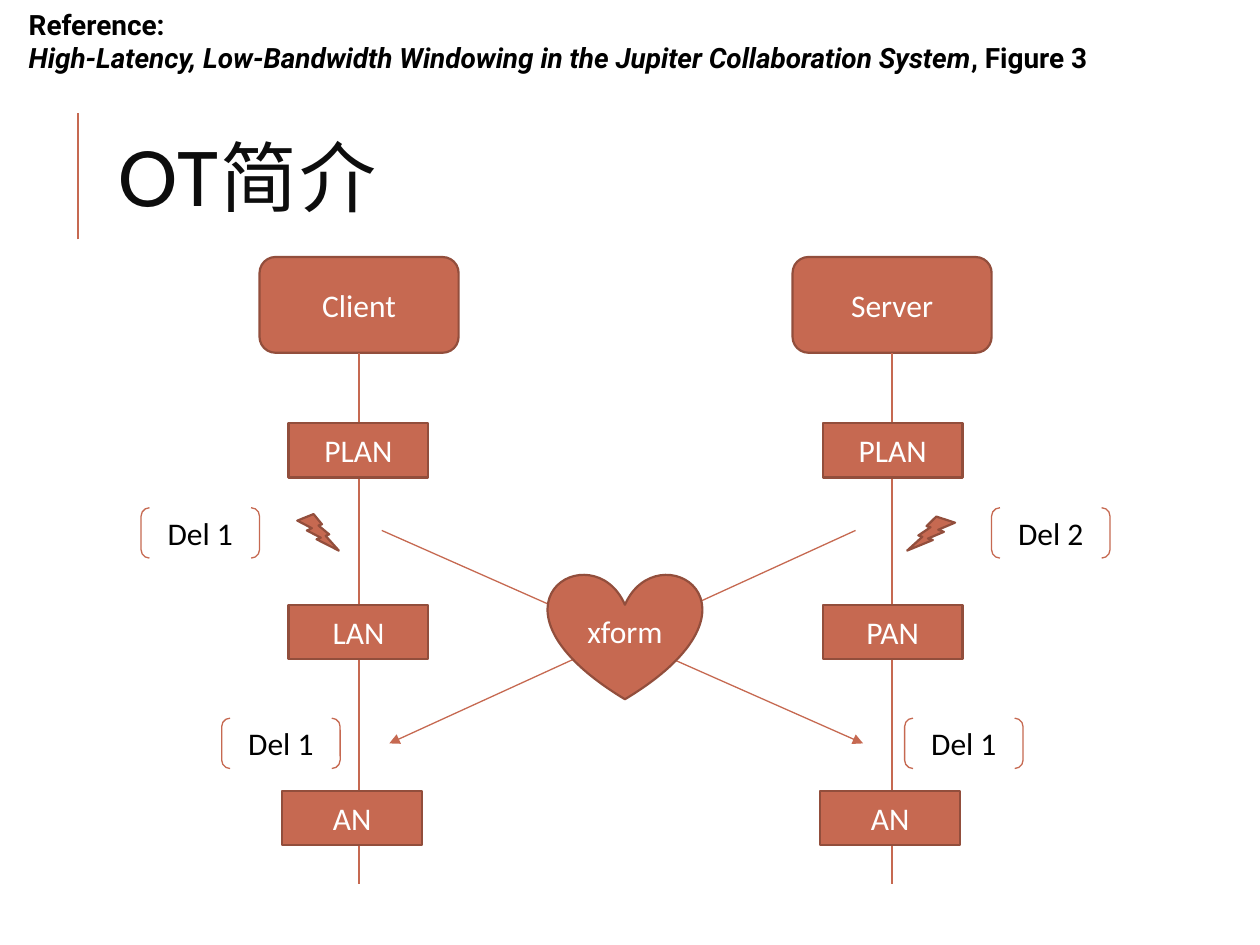
from lxml.etree import SubElement
from pptx import Presentation
from pptx.dml.color import RGBColor
from pptx.enum.shapes import MSO_CONNECTOR as Connector, MSO_SHAPE as Shape
from pptx.enum.text import MSO_ANCHOR as Anchor, MSO_AUTO_SIZE as AutoSize, PP_ALIGN as Align
from pptx.oxml.ns import qn
from pptx.util import Inches, Pt

RUST = RGBColor(0xC6, 0x69, 0x51)
BROWN = RGBColor(0x92, 0x4E, 0x3C)
WHITE = RGBColor(0xFF, 0xFF, 0xFF)
BLACK = RGBColor(0x00, 0x00, 0x00)
TITLE_COLOR = RGBColor(0x0D, 0x0D, 0x0D)

STATE_SIZE = (1.11, 0.43)
BRACKET_SIZE = (0.94, 0.4)


def set_font(font, name, size, color):
    """Set the typeface, point size and colour of a font."""
    font.name = name
    font.size = Pt(size)
    font.color.rgb = color


def add_line(slide, start, end, width=0.75, arrow=False):
    """Draw a straight line, with an arrowhead at its end if asked."""
    line = slide.shapes.add_connector(Connector.STRAIGHT, *map(Inches, start + end))
    line.line.color.rgb = RUST
    line.line.width = Pt(width)
    if arrow:
        SubElement(line.line._get_or_add_ln(), qn("a:tailEnd"), type="triangle")
    SubElement(line._element.spPr, qn("a:effectLst"))
    return line


def add_node(slide, kind, box, text="", filled=True):
    """Add a preset shape with centred text, solid or outlined only."""
    shape = slide.shapes.add_shape(kind, *map(Inches, box))
    shape.shadow.inherit = False
    if filled:
        shape.fill.solid()
        shape.fill.fore_color.rgb = RUST
    else:
        shape.fill.background()
    shape.line.color.rgb = BROWN if filled else RUST
    shape.line.width = Pt(1.25 if filled else 0.75)
    if text:
        frame = shape.text_frame
        frame.vertical_anchor = Anchor.MIDDLE
        paragraph = frame.paragraphs[0]
        paragraph.text = text
        paragraph.alignment = Align.CENTER
        set_font(paragraph.font, "Calibri", 18, WHITE if filled else BLACK)
    return shape


def add_reference(slide, box):
    """Add the citation at the top of the slide."""
    frame = slide.shapes.add_textbox(*map(Inches, box)).text_frame
    frame.word_wrap = True
    heading, citation = frame.paragraphs[0], frame.add_paragraph()
    heading.text = "Reference:"
    work = citation.add_run()
    work.text = "High-Latency, Low-Bandwidth Windowing in the Jupiter Collaboration System"
    work.font.italic = True
    citation.add_run().text = ", Figure 3"
    for paragraph in (heading, citation):
        set_font(paragraph.font, "Roboto", 16, BLACK)
        paragraph.font.bold = True


def add_title(slide, box):
    """Place the title and the accent rule to its left."""
    add_line(slide, (0.62, 1.9), (0.62, 0.9), width=1.5)
    title = slide.shapes.title
    title.left, title.top, title.width, title.height = map(Inches, box)
    frame = title.text_frame
    frame.auto_size = AutoSize.NONE
    frame.vertical_anchor = Anchor.MIDDLE
    paragraph = frame.paragraphs[0]
    paragraph.text = "OT简介"
    paragraph.alignment = Align.LEFT
    paragraph.line_spacing = 0.8
    set_font(paragraph.font, "Cabin", 44, TITLE_COLOR)
    paragraph.runs[0]._r.get_or_add_rPr().set("spc", "100")


def add_lifeline(slide, box, name, states, operations):
    """Draw one party's header, lifeline, document states and operations."""
    left, top, width, height = box
    center = left + width / 2
    header_height = 0.76
    header = add_node(slide, Shape.ROUNDED_RECTANGLE, (left, top, width, header_height), name)
    lifeline = add_line(slide, (center, top + header_height), (center, top + height))
    lifeline.begin_connect(header, 2)
    for text, state_left, state_top in states:
        add_node(slide, Shape.RECTANGLE, (state_left, state_top) + STATE_SIZE, text)
    for text, bracket_left, bracket_top in operations:
        add_node(slide, Shape.DOUBLE_BRACKET, (bracket_left, bracket_top) + BRACKET_SIZE,
                 text, filled=False)


def add_exchange(slide, heart_box):
    """Draw the edits, the crossing messages and the transform between them."""
    add_node(slide, Shape.LIGHTNING_BOLT, (2.36, 4.08, 0.33, 0.29))
    server_bolt = add_node(slide, Shape.LIGHTNING_BOLT, (7.2, 4.1, 0.38, 0.27))
    server_bolt._element.spPr.xfrm.set("flipH", "1")
    add_line(slide, (3.03, 4.21), (6.85, 5.9), arrow=True)
    add_line(slide, (6.79, 4.21), (3.09, 5.9), arrow=True)
    add_node(slide, Shape.HEART, heart_box, "xform")


def main():
    """Build the slide and save it."""
    presentation = Presentation()
    presentation.slide_width, presentation.slide_height = Inches(10), Inches(7.5)
    slide = presentation.slides.add_slide(presentation.slide_layouts[5])
    add_title(slide, (0.84, 0.64, 7.97, 1.64))
    add_lifeline(slide, (2.06, 2.04, 1.58, 4.98), "Client",
                 [("PLAN", 2.29, 3.36), ("LAN", 2.29, 4.8), ("AN", 2.24, 6.28)],
                 [("Del 1", 1.12, 4.03), ("Del 1", 1.76, 5.7)])
    add_lifeline(slide, (6.29, 2.04, 1.58, 4.98), "Server",
                 [("PLAN", 6.53, 3.36), ("PAN", 6.53, 4.8), ("AN", 6.51, 6.28)],
                 [("Del 2", 7.87, 4.03), ("Del 1", 7.18, 5.7)])
    add_exchange(slide, (4.35, 4.55, 1.22, 1))
    add_reference(slide, (0.13, 0.01, 9.67, 0.64))
    presentation.save("out.pptx")


if __name__ == "__main__":
    main()
